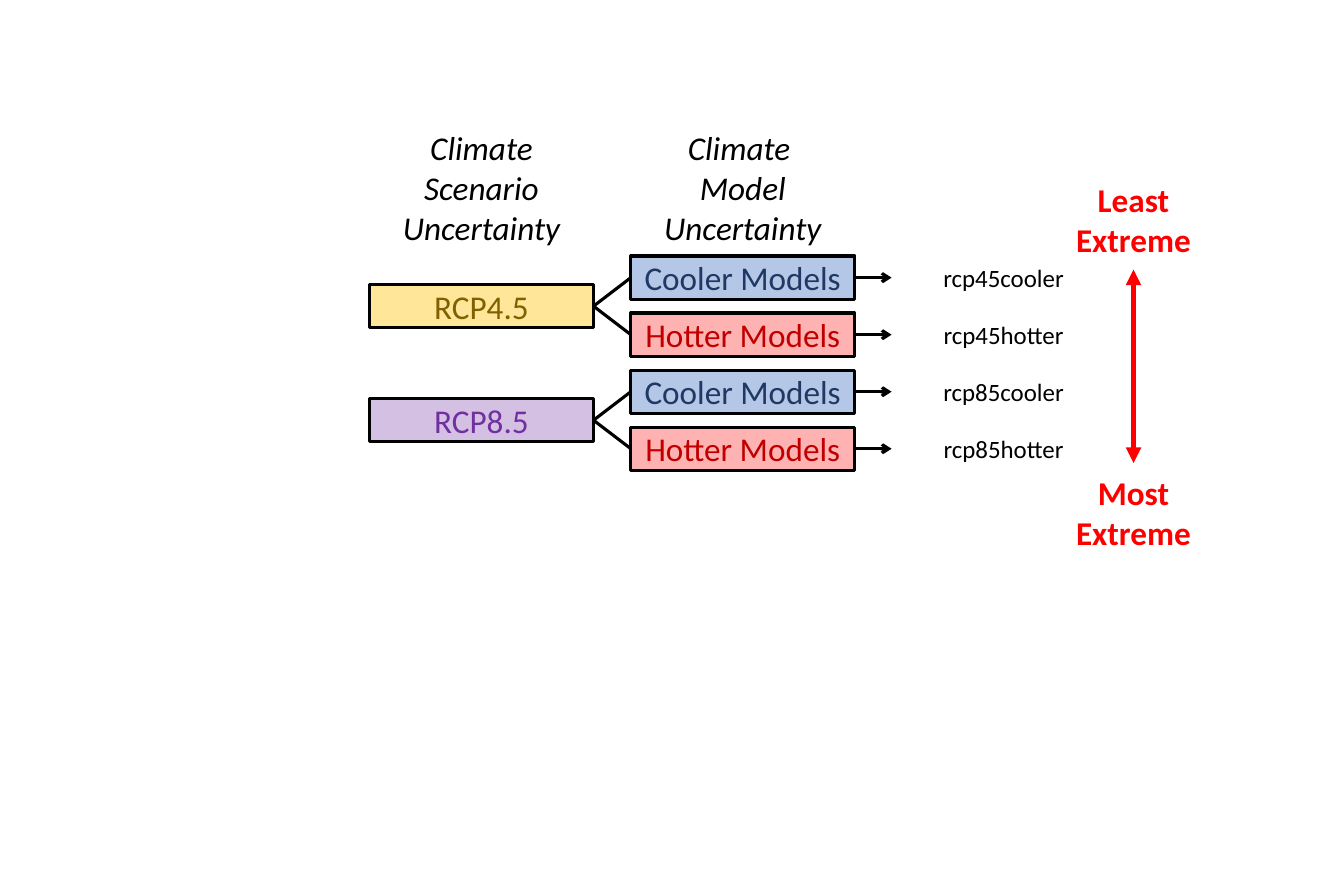
import pptx
import pptx.dml.color
import pptx.enum.shapes
import pptx.enum.text
import pptx.oxml
import pptx.oxml.ns
import pptx.util

Cm = pptx.util.Cm
Pt = pptx.util.Pt
RGB = pptx.dml.color.RGBColor
ANCHOR = pptx.enum.text.MSO_ANCHOR

BLACK = RGB(0x00, 0x00, 0x00)
RED = RGB(0xFF, 0x00, 0x00)
MAROON = RGB(0xC0, 0x00, 0x00)
BLUE = RGB(0xB4, 0xC7, 0xE7)
NAVY = RGB(0x20, 0x38, 0x64)
YELLOW = RGB(0xFF, 0xE6, 0x99)
BROWN = RGB(0x80, 0x60, 0x00)
PURPLE = RGB(0x70, 0x30, 0xA0)

WIDE, HIGH = 7.62, 1.47
LEFT, MID, RIGHT = 12.57, 21.46, 30.33
TOP, STEP = 8.71, 1.94


class Sketch:
    """Holds the slide and its common font and line style."""

    def __init__(self, slide, font="Calibri", size=32, weight=3):
        self.slide = slide
        self.font = font
        self.size = size
        self.weight = weight

    def letter(self, shape, text, color, size=None, bold=False, italic=False,
               anchor=ANCHOR.MIDDLE):
        """Put centred, formatted text into a shape."""
        frame = shape.text_frame
        frame.word_wrap = True
        frame.vertical_anchor = anchor
        frame.text = text
        for para in frame.paragraphs:
            para.alignment = pptx.enum.text.PP_ALIGN.CENTER
            for run in para.runs:
                run.font.name = self.font
                run.font.size = Pt(size or self.size)
                run.font.bold = bold
                run.font.italic = italic
                run.font.color.rgb = color

    def label(self, x, y, w, h, text, color=BLACK, **style):
        box = self.slide.shapes.add_textbox(Cm(x), Cm(y), Cm(w), Cm(h))
        self.letter(box, text, color, **style)
        return box

    def box(self, x, y, text, color, fill, alpha=None):
        """Add a bordered box; alpha is the fill's opacity in percent."""
        rect = self.slide.shapes.add_shape(
            pptx.enum.shapes.MSO_SHAPE.RECTANGLE, Cm(x), Cm(y), Cm(WIDE), Cm(HIGH))
        rect.shadow.inherit = False
        rect.fill.solid()
        rect.fill.fore_color.rgb = fill
        if alpha:
            tint = rect._element.spPr.find(".//" + pptx.oxml.ns.qn("a:srgbClr"))
            tint.append(pptx.oxml.parse_xml(
                f'<a:alpha {pptx.oxml.ns.nsdecls("a")} val="{alpha * 1000}"/>'))
        rect.line.color.rgb = BLACK
        rect.line.width = Pt(self.weight)
        self.letter(rect, text, color)
        return rect

    def line(self, x1=0, y1=0, x2=0, y2=0, color=BLACK, weight=None, **ends):
        """Add a line; ends maps headEnd and tailEnd to arrowhead types."""
        link = self.slide.shapes.add_connector(
            pptx.enum.shapes.MSO_CONNECTOR.STRAIGHT, Cm(x1), Cm(y1), Cm(x2), Cm(y2))
        link.line.color.rgb = color
        link.line.width = Pt(weight or self.weight)
        space = pptx.oxml.ns.nsdecls("a")
        for end, kind in ends.items():
            link.line._get_or_add_ln().append(
                pptx.oxml.parse_xml(f'<a:{end} {space} type="{kind}"/>'))
        link._element.spPr.append(pptx.oxml.parse_xml(f"<a:effectLst {space}/>"))
        return link

    def join(self, start, stop, **ends):
        """Link the right side of start to the left side of stop."""
        link = self.line(**ends)
        link.begin_connect(start, 3)
        link.end_connect(stop, 1)


def main():
    deck = pptx.Presentation()
    deck.slide_width, deck.slide_height = Cm(45.72), Cm(30.48)
    art = Sketch(deck.slides.add_slide(deck.slide_layouts[6]))

    for x, text in ((LEFT, "Climate Scenario Uncertainty"),
                    (MID, "Climate \nModel Uncertainty")):
        art.label(x, 4.22, WIDE, 4.37, text, italic=True, anchor=ANCHOR.TOP)

    cases = (("RCP4.5", "rcp45", BROWN, YELLOW, None),
             ("RCP8.5", "rcp85", PURPLE, PURPLE, 30))
    models = (("Cooler", NAVY, BLUE, None), ("Hotter", MAROON, RED, 30))
    for i, (name, code, ink, fill, alpha) in enumerate(cases):
        y = TOP + 2 * i * STEP
        root = art.box(LEFT, y + STEP / 2, name, ink, fill, alpha)
        for j, (kind, ink, fill, alpha) in enumerate(models):
            row = y + j * STEP
            model = art.box(MID, row, f"{kind} Models", ink, fill, alpha)
            result = art.label(RIGHT, row, WIDE, HIGH, code + kind.lower(), size=24)
            art.join(root, model)
            art.join(model, result, tailEnd="arrow")

    art.line(38.56, 9.17, 38.56, 15.75, RED, 5,
             headEnd="triangle", tailEnd="triangle")
    for y, text in ((5.97, "Least Extreme"), (15.95, "Most Extreme")):
        art.label(36.12, y, 4.88, 3, text, RED, bold=True, anchor=ANCHOR.TOP)

    deck.save("out.pptx")


if __name__ == "__main__":
    main()
